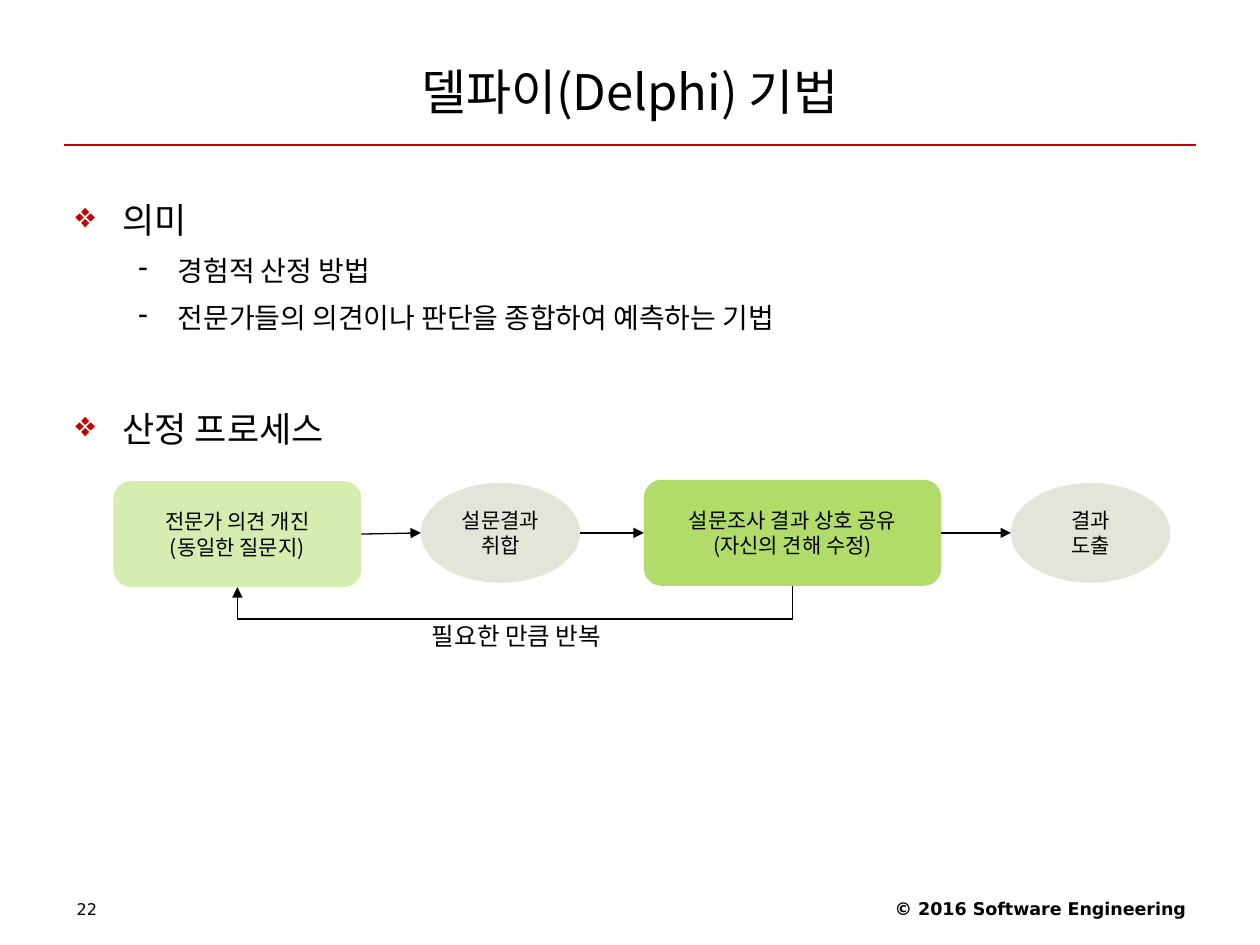
from dataclasses import dataclass

from lxml.etree import SubElement
from pptx import Presentation
from pptx.dml.color import RGBColor
from pptx.enum.shapes import MSO_CONNECTOR, MSO_SHAPE
from pptx.enum.text import MSO_ANCHOR, PP_ALIGN
from pptx.oxml.ns import qn
from pptx.util import Pt


@dataclass(frozen=True)
class Theme:
    """Colours, fonts and type sizes of the slide."""
    ink: str = "000000"
    accent: str = "C40000"
    pale_green: str = "D6EDB1"
    green: str = "B1DC6A"
    grey: str = "E4E4D8"
    korean: str = "Noto Sans CJK KR"
    latin: str = "DejaVu Sans"
    title: float = 28
    heading: float = 20
    item: float = 16
    loop: float = 14
    node: float = 12
    footer: float = 10
    number: float = 9.2


THEME = Theme()


def style_para(para, size, font=THEME.korean, align=PP_ALIGN.LEFT, bold=False):
    """Align a paragraph and format its runs."""
    para.alignment = align
    for span in para.runs:
        span.font.size = Pt(size)
        span.font.bold = bold
        span.font.name = font
        span.font.color.rgb = RGBColor.from_string(THEME.ink)
        SubElement(span._r.get_or_add_rPr(), qn("a:ea"), typeface=font)


def add_text(page, frame, text, size, wrap=True, margins=(7.2, 3.6),
             anchor=MSO_ANCHOR.TOP, **style):
    """Place a text box in the frame."""
    box = page.shapes.add_textbox(*map(Pt, frame))
    fill_text(box.text_frame, text, size, wrap, margins, anchor, **style)


def fill_text(text_frame, text, size, wrap, margins, anchor, **style):
    """Write and format the text of a shape."""
    text_frame.word_wrap = wrap
    text_frame.vertical_anchor = anchor
    text_frame.margin_left = text_frame.margin_right = Pt(margins[0])
    text_frame.margin_top = text_frame.margin_bottom = Pt(margins[1])
    text_frame.text = text
    for para in text_frame.paragraphs:
        style_para(para, size, **style)


def add_line(page, start, end, color=THEME.ink, kind=MSO_CONNECTOR.STRAIGHT, arrow=True):
    """Draw a thin connector, with an arrowhead if wanted."""
    line = page.shapes.add_connector(kind, *map(Pt, (*start, *end)))
    line.line.color.rgb = RGBColor.from_string(color)
    line.line.width = Pt(0.75)
    if arrow:
        SubElement(line.line._get_or_add_ln(), qn("a:tailEnd"), type="triangle")
    SubElement(line._element.spPr, qn("a:effectLst"))
    return line


def add_header(page, left, top, width, height):
    """Place the title with the rule under it."""
    add_line(page, (left + 0.7, top + height), (left + width - 0.7, top + height),
             THEME.accent, arrow=False)
    add_text(page, (left, top, width, height), "델파이(Delphi) 기법", THEME.title,
             anchor=MSO_ANCHOR.MIDDLE, align=PP_ALIGN.CENTER)


def add_footer(page, left, top, width, height):
    """Place the page number and the copyright line."""
    add_text(page, (left, top + 0.7, 168, height), "22", THEME.number, font=THEME.latin)
    add_text(page, (left + width - 228, top, 228, height), "© 2016 Software Engineering",
             THEME.footer, font=THEME.latin, align=PP_ALIGN.RIGHT, bold=True)


def add_outline(page, left, top, width, height):
    """Place the bulleted headings and items."""
    box = page.shapes.add_textbox(Pt(left), Pt(top), Pt(width), Pt(height))
    box.text_frame.word_wrap = True
    heading = (THEME.heading, 27, 27, 1.4, "❖", THEME.accent)
    item = (THEME.item, 58.5, 22.5, 1.2, "-", THEME.ink)
    rows = [
        ("의미", 0, 0, heading),
        ("경험적 산정 방법", 1, 4, item),
        ("전문가들의 의견이나 판단을 종합하여 예측하는 기법", 1, 4, item),
        ("산정 프로세스", 0, 32, heading),
    ]
    box.text_frame.text = "\n".join(row[0] for row in rows)
    for para, (_, level, gap, look) in zip(box.text_frame.paragraphs, rows):
        size, margin, hang, spacing, bullet, color = look
        para.level = level
        para.line_spacing = spacing
        para.space_before = Pt(gap)
        properties = para._p.get_or_add_pPr()
        properties.set("marL", str(Pt(margin)))
        properties.set("indent", str(-Pt(hang)))
        SubElement(SubElement(properties, qn("a:buClr")), qn("a:srgbClr"), val=color)
        SubElement(properties, qn("a:buChar"), char=bullet)
        style_para(para, size)


def add_node(page, kind, frame, color, text):
    """Place one step of the process."""
    node = page.shapes.add_shape(kind, *map(Pt, frame))
    node.shadow.inherit = False
    node.fill.solid()
    node.fill.fore_color.rgb = RGBColor.from_string(color)
    node.line.fill.background()
    fill_text(node.text_frame, text, THEME.node, False, (8.64, 4.32),
              MSO_ANCHOR.MIDDLE, align=PP_ALIGN.CENTER)
    return node


def add_return_arrow(page, start, end, depth):
    """Draw the elbow arrow that dips below two steps and leads back."""
    span, drop = start[0] - end[0], end[1] - start[1]
    center_x, center_y = (start[0] + end[0]) / 2, (start[1] + end[1]) / 2
    corner = (center_x - drop / 2, center_y - span / 2)
    arrow = add_line(page, corner, (corner[0] + drop, corner[1] + span),
                     kind=MSO_CONNECTOR.ELBOW)
    properties = arrow._element.spPr
    properties.find(qn("a:xfrm")).set("rot", "5400000")
    guides = properties.find(qn("a:prstGeom")).find(qn("a:avLst"))
    SubElement(guides, qn("a:gd"), name="adj1", fmla=f"val {round(depth / drop * 100000)}")


def add_process(page, left, top, width, height):
    """Place the four steps, their arrows and the loop back."""
    rounded, oval = MSO_SHAPE.ROUNDED_RECTANGLE, MSO_SHAPE.OVAL
    oval_width, oval_height, drop = 91, 57, 0.7
    middle = top + height / 2
    oval_top = middle - oval_height / 2
    steps = [
        (rounded, (left, top + drop, 141.7, height), THEME.pale_green,
         "전문가 의견 개진\n(동일한 질문지)"),
        (oval, (left + 175.7, oval_top, oval_width, oval_height), THEME.grey, "설문결과\n취합"),
        (rounded, (left + 303.1, top, 170, height), THEME.green,
         "설문조사 결과 상호 공유\v(자신의 견해 수정)"),
        (oval, (left + width - oval_width, oval_top, oval_width, oval_height),
         THEME.grey, "결과\v도출"),
    ]
    nodes = [add_node(page, *step) for step in steps]
    frames = [step[1] for step in steps]
    for index in range(len(steps) - 1):
        arrow = add_line(page, (frames[index][0] + frames[index][2], middle),
                         (frames[index + 1][0], middle))
        if steps[index][0] == rounded:
            arrow.begin_connect(nodes[index], 3)
        else:
            arrow.end_connect(nodes[index + 1], 1)
    bottom = top + height
    add_return_arrow(page, (frames[2][0] + frames[2][2] / 2, bottom),
                     (frames[0][0] + frames[0][2] / 2, bottom + drop), 18.7)
    add_text(page, (left + 173.4, bottom + 15.8, 121, 26), "필요한 만큼 반복", THEME.loop,
             wrap=False, margins=(8.64, 4.32))


def main():
    """Build the slide and save it."""
    deck = Presentation()
    deck.slide_width, deck.slide_height = Pt(720), Pt(540)
    page = deck.slides.add_slide(deck.slide_layouts[6])
    add_header(page, 36, 21.6, 648, 61.2)
    add_footer(page, 36.7, 509.8, 648, 20.5)
    add_outline(page, 36, 100, 648, 396.7)
    add_process(page, 64.8, 274.2, 603.9, 60.6)
    deck.save("out.pptx")


if __name__ == "__main__":
    main()
